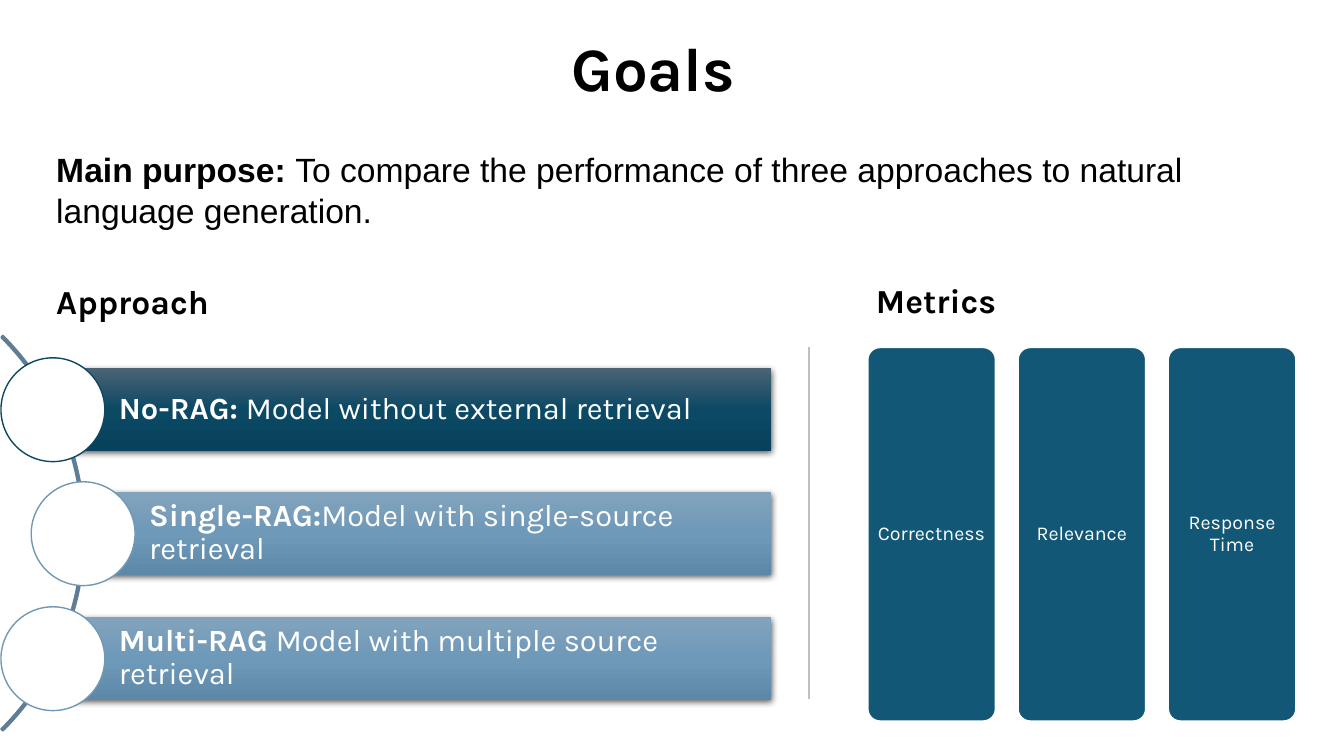
from copy import deepcopy

from pptx import Presentation
from pptx.dml.color import RGBColor
from pptx.enum.shapes import MSO_CONNECTOR, MSO_SHAPE
from pptx.enum.text import MSO_ANCHOR, PP_ALIGN
from pptx.oxml import parse_xml
from pptx.oxml.ns import nsdecls, qn
from pptx.util import Inches, Pt

BLACK = RGBColor(0x00, 0x00, 0x00)
WHITE = RGBColor(0xFF, 0xFF, 0xFF)
ARC_BLUE = RGBColor(0x5F, 0x7D, 0x95)
DARK_RING = RGBColor(0x10, 0x47, 0x60)
LIGHT_RING = RGBColor(0x71, 0x98, 0xB4)
CARD_BLUE = RGBColor(0x13, 0x57, 0x76)
DIVIDER_GRAY = RGBColor(0xBF, 0xBF, 0xBF)
DARK_BAR = (RGBColor(0x4C, 0x63, 0x75), RGBColor(0x0C, 0x49, 0x64), RGBColor(0x07, 0x42, 0x5D))
LIGHT_BAR = (RGBColor(0x83, 0xA3, 0xBD), RGBColor(0x6E, 0x99, 0xB8), RGBColor(0x5E, 0x88, 0xA7))

BAR_RIGHT = 7.65
BAR_HEIGHT = 0.82
CIRCLE_SIZE = 1.03
CARD_PITCH = 1.49

APPROACHES = [
    (0.53, 3.65, "No-RAG: ", "Model without external retrieval", DARK_BAR, DARK_RING),
    (0.83, 4.88, "Single-RAG:", "Model with single-source retrieval", LIGHT_BAR, LIGHT_RING),
    (0.53, 6.12, "Multi-RAG ", "Model with multiple source retrieval", LIGHT_BAR, LIGHT_RING),
]
METRICS = ["Correctness", "Relevance", "Response Time"]


def write_text(sp, text, bold="", size=24, font="Karla", color=BLACK, align=PP_ALIGN.LEFT,
               anchor=MSO_ANCHOR.MIDDLE, spacing=0.9, insets=(0.1, 0.05, 0.1, 0.05)):
    """Fill a shape with one paragraph: a bold lead followed by regular text."""
    tf = sp.text_frame
    tf.word_wrap = True
    tf.vertical_anchor = anchor
    tf.margin_left, tf.margin_top, tf.margin_right, tf.margin_bottom = map(Inches, insets)
    p = tf.paragraphs[0]
    p.alignment = align
    p.line_spacing = spacing
    for part, is_bold in ((bold, True), (text, False)):
        if part:
            r = p.add_run()
            r.text = part
            r.font.name = font
            r.font.size = Pt(size)
            r.font.bold = is_bold
            r.font.color.rgb = color


def add_text(s, left, top, width, height, text, **fmt):
    box = s.shapes.add_textbox(Inches(left), Inches(top), Inches(width), Inches(height))
    write_text(box, text, **fmt)


def add_shape(s, kind, left, top, width, height, fill=None, line=None, line_width=1):
    sp = s.shapes.add_shape(kind, Inches(left), Inches(top), Inches(width), Inches(height))
    sp.shadow.inherit = False
    if fill is None:
        sp.fill.background()
    else:
        sp.fill.solid()
        sp.fill.fore_color.rgb = fill
    if line is None:
        sp.line.fill.background()
    else:
        sp.line.color.rgb = line
        sp.line.width = Pt(line_width)
    return sp


def set_gradient(sp, colors):
    """Apply a top-to-bottom gradient with three evenly spaced stops."""
    sp.fill.gradient()
    sp.fill.gradient_angle = 270
    stops = sp._element.spPr.find(".//" + qn("a:gsLst"))
    stops.insert(1, deepcopy(stops[0]))
    for i, (stop, color) in enumerate(zip(sp.fill.gradient_stops, colors)):
        stop.position = i / 2
        stop.color.rgb = color


def add_drop_shadow(sp):
    effects = sp._element.spPr.find(qn("a:effectLst"))
    effects.append(parse_xml(
        f'<a:outerShdw {nsdecls("a")} blurRad="{Pt(4.5)}" dist="{Pt(1.5)}" dir="5400000" '
        'algn="ctr" rotWithShape="0"><a:srgbClr val="000000"><a:alpha val="63000"/>'
        '</a:srgbClr></a:outerShdw>'))


def add_arc(s):
    arc = add_shape(s, MSO_SHAPE.BLOCK_ARC, -4.7, 2.52, 5.54, 5.54, line=ARC_BLUE, line_width=1.5)
    for i, value in enumerate((189, 27, 0.004)):
        arc.adjustments[i] = value


def add_approach(s, left, top, name, detail, gradient, ring):
    bar = add_shape(s, MSO_SHAPE.RECTANGLE, left, top, BAR_RIGHT - left, BAR_HEIGHT)
    set_gradient(bar, gradient)
    add_drop_shadow(bar)
    write_text(bar, detail, bold=name, size=22, color=WHITE, insets=(0.65, 0.06, 0.06, 0.06))
    add_shape(s, MSO_SHAPE.OVAL, left - 0.52, top - 0.1, CIRCLE_SIZE, CIRCLE_SIZE,
              fill=WHITE, line=ring)


def add_metric(s, left, name):
    card = add_shape(s, MSO_SHAPE.ROUNDED_RECTANGLE, left, 3.44, 1.28, 3.72,
                     fill=CARD_BLUE, line=WHITE, line_width=2)
    card.adjustments[0] = 0.1
    write_text(card, name, size=14, color=WHITE, align=PP_ALIGN.CENTER, insets=(0.06,) * 4)


def add_divider(s, x, top, bottom):
    line = s.shapes.add_connector(MSO_CONNECTOR.STRAIGHT, Inches(x), Inches(top),
                                  Inches(x), Inches(bottom))
    line.line.color.rgb = DIVIDER_GRAY
    line.line.width = Pt(1.5)
    line._element.spPr.append(parse_xml(f'<a:effectLst {nsdecls("a")}/>'))


def main():
    prs = Presentation()
    prs.slide_width, prs.slide_height = Inches(13.33), Inches(7.5)
    s = prs.slides.add_slide(prs.slide_layouts[6])

    add_text(s, 0.46, 0.17, 12.04, 1.08, "", bold="Goals", size=44, align=PP_ALIGN.CENTER)
    add_text(s, 0.46, 1.43, 12.04, 0.91,
             "To compare the performance of three approaches to natural language generation.",
             bold="Main purpose: ", font="Arial", anchor=MSO_ANCHOR.TOP, spacing=1.0)
    add_text(s, 0.46, 2.34, 5.64, 0.9, "", bold="Approach", anchor=MSO_ANCHOR.BOTTOM)
    add_text(s, 8.59, 2.68, 2.8, 0.55, "", bold="Metrics", anchor=MSO_ANCHOR.BOTTOM)

    add_arc(s)
    for approach in APPROACHES:
        add_approach(s, *approach)
    for i, name in enumerate(METRICS):
        add_metric(s, 8.6 + i * CARD_PITCH, name)
    add_divider(s, 8.02, 3.44, 6.93)

    prs.save("out.pptx")


if __name__ == "__main__":
    main()
